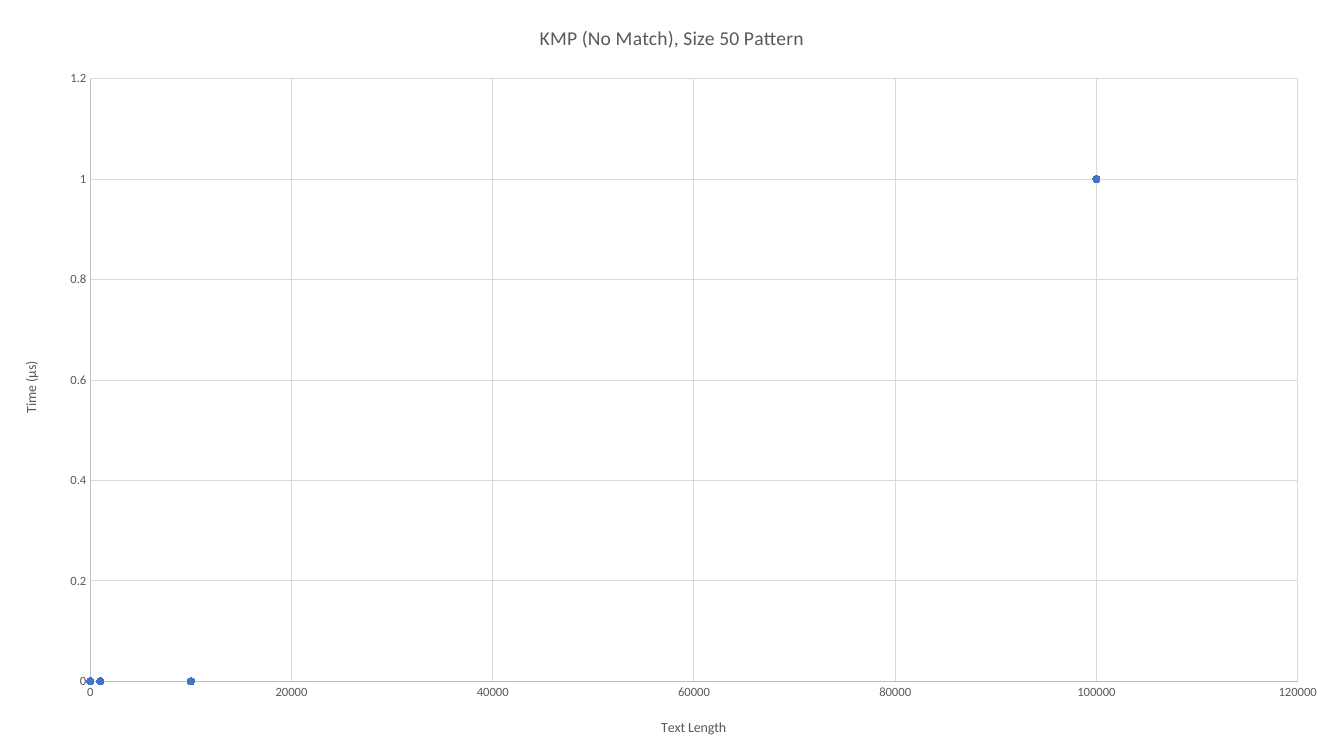
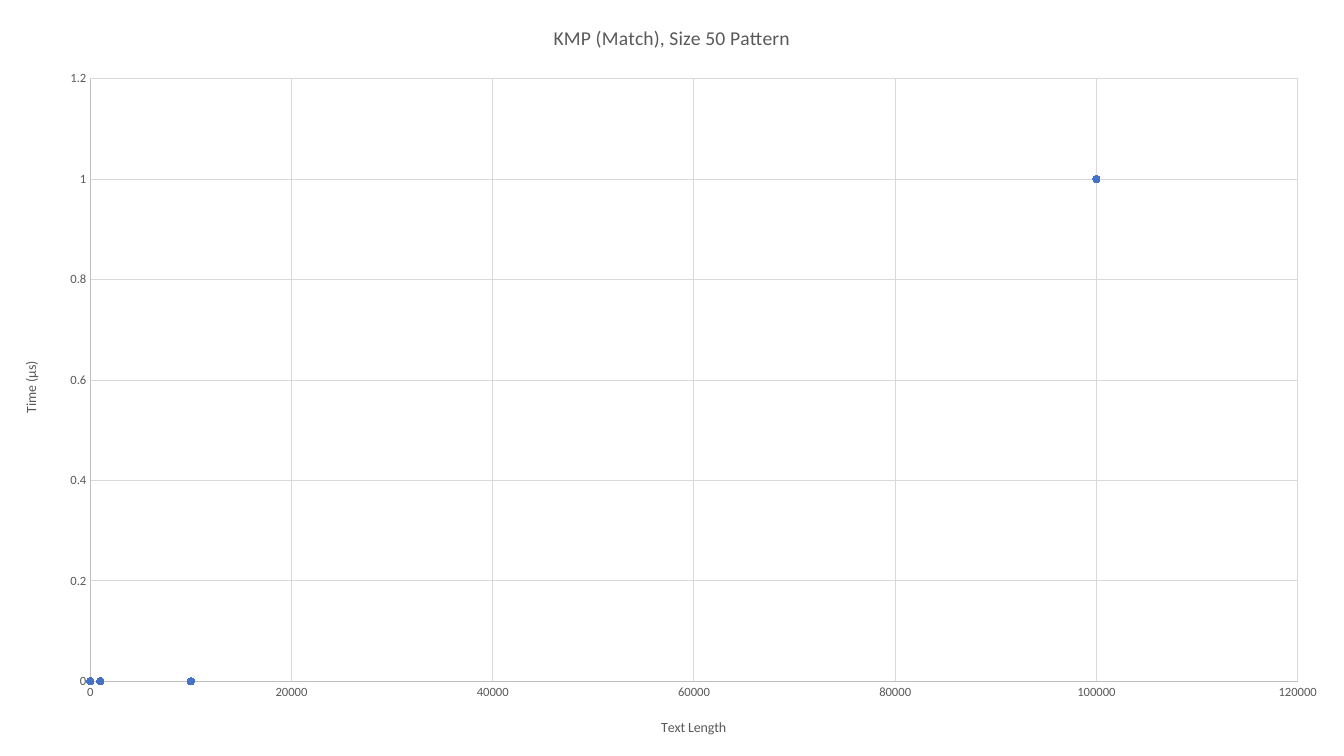
from lxml import etree
from pptx import Presentation
from pptx import util as u
from pptx.chart import data as chart_data
from pptx.dml import color
from pptx.enum import chart as ch
from pptx.oxml import ns

PX = 9525
SLIDE_BOX = (0, 0, 1280, 720)
PLOT_BOX = (86, 75, 1150, 574)
FONT = "Calibri"
INK, GRID, AXIS, ACCENT = "595959", "D9D9D9", "BFBFBF", "4472C4"
TITLE_SIZE, AXIS_TITLE_SIZE, LABEL_SIZE = 14, 10, 9
POINTS = [(0, 0), (1000, 0), (10000, 0), (100000, 1)]
TITLES = ["KMP (No Match), Size 50 Pattern", "KMP (Match), Size 50 Pattern"]


def px(length):
    return u.Emu(length * PX)


def rgb(value):
    return color.RGBColor.from_string(value)


def apply_format(target, values):
    for attribute, value in values.items():
        setattr(target, attribute, value)


def style_font(font, size):
    apply_format(font, {"name": FONT, "size": u.Pt(size), "bold": False})
    font.color.rgb = rgb(INK)


def style_line(line, shade):
    line.color.rgb = rgb(shade)
    line.width = u.Pt(0.75)


def write_title(owner, wording, size):
    owner.has_title = True
    heading = owner.chart_title if hasattr(owner, "chart_title") else owner.axis_title
    run = heading.text_frame.paragraphs[0].add_run()
    run.text = wording
    style_font(run.font, size)


def style_axis(axis, wording, maximum, step):
    apply_format(axis, {
        "minimum_scale": 0,
        "maximum_scale": maximum,
        "major_unit": step,
        "has_major_gridlines": True,
        "major_tick_mark": ch.XL_TICK_MARK.NONE,
        "minor_tick_mark": ch.XL_TICK_MARK.NONE,
    })
    apply_format(axis.tick_labels, {"number_format": "General", "number_format_is_linked": False})
    style_font(axis.tick_labels.font, LABEL_SIZE)
    style_line(axis.format.line, AXIS)
    style_line(axis.major_gridlines.format.line, GRID)
    write_title(axis, wording, AXIS_TITLE_SIZE)


def place_plot(chart, box, plot_box):
    plot_area = chart.plots[0]._element.getparent()
    for old in plot_area.findall(ns.qn("c:layout")):
        plot_area.remove(old)
    layout = etree.Element(ns.qn("c:layout"))
    plot_area.insert(0, layout)
    manual = etree.SubElement(layout, ns.qn("c:manualLayout"))
    left, top, width, height = plot_box
    settings = {
        "layoutTarget": "inner", "xMode": "edge", "yMode": "edge",
        "x": round(left / box[2], 4), "y": round(top / box[3], 4),
        "w": round(width / box[2], 4), "h": round(height / box[3], 4),
    }
    for tag, value in settings.items():
        etree.SubElement(manual, ns.qn("c:" + tag)).set("val", str(value))


def style_points(series):
    series.format.line.fill.background()
    marker = series.marker
    apply_format(marker, {"style": ch.XL_MARKER_STYLE.CIRCLE, "size": 5})
    marker.format.fill.solid()
    marker.format.fill.fore_color.rgb = rgb(ACCENT)
    style_line(marker.format.line, ACCENT)
    series.smooth = False


def timing_chart(slide, box, title):
    timings = chart_data.XyChartData()
    measured = timings.add_series("Series 1")
    for text_length, time in POINTS:
        measured.add_data_point(text_length, time)
    chart = slide.shapes.add_chart(
        ch.XL_CHART_TYPE.XY_SCATTER, *map(px, box), timings).chart
    apply_format(chart, {"has_legend": False})
    apply_format(chart.font, {"name": FONT, "size": u.Pt(10)})
    chart.plots[0].vary_by_categories = False
    write_title(chart, title, TITLE_SIZE)
    chart.chart_title.include_in_layout = False
    style_axis(chart.category_axis, "Text Length", 120000, 20000)
    style_axis(chart.value_axis, "Time (µs) ", 1.2, 0.2)
    style_points(chart.plots[0].series[0])
    place_plot(chart, box, PLOT_BOX)


def main():
    deck = Presentation()
    apply_format(deck, {"slide_width": px(SLIDE_BOX[2]), "slide_height": px(SLIDE_BOX[3])})
    for title in TITLES:
        timing_chart(deck.slides.add_slide(deck.slide_layouts[6]), SLIDE_BOX, title)
    deck.save("out.pptx")


if __name__ == "__main__":
    main()
